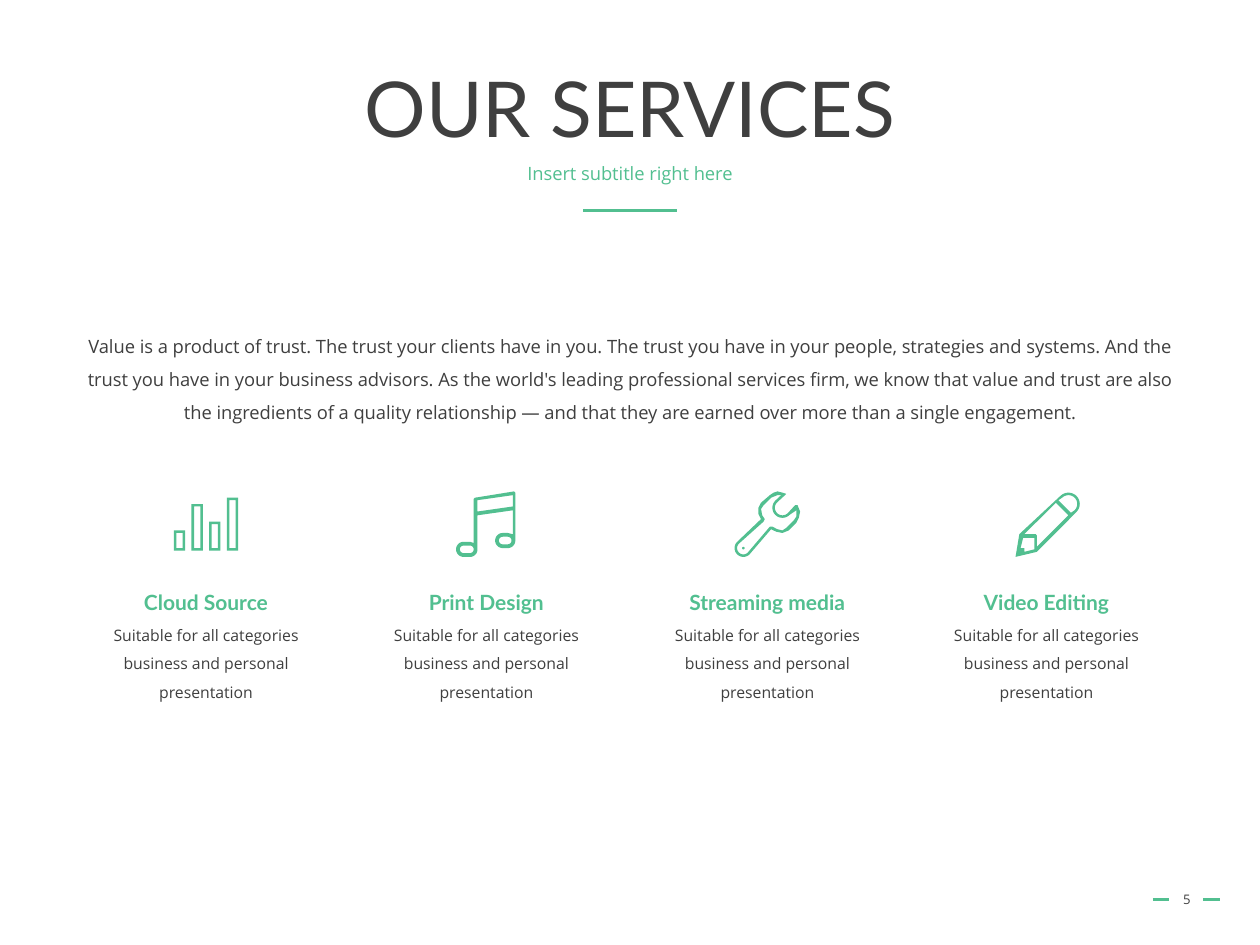
from math import cos, radians, sin

from lxml.etree import SubElement
from pptx import Presentation
from pptx.dml.color import RGBColor
from pptx.enum.shapes import MSO_CONNECTOR
from pptx.enum.text import MSO_ANCHOR, MSO_AUTO_SIZE, PP_ALIGN
from pptx.oxml.ns import qn
from pptx.util import Cm, Pt


# Outline helpers for the icons (lengths in inches)
def arc(x, y, radius, start, end, steps=16):
    """Points on a circle; angles run clockwise from the right."""
    angles = [radians(start + (end - start) * i / steps) for i in range(steps + 1)]
    return [(x + radius * cos(a), y + radius * sin(a)) for a in angles]


def rectangle(left, top, right, bottom):
    return [(left, top), (right, top), (right, bottom), (left, bottom)]


def pill(left, right, y, radius):
    return arc(left, y, radius, 90, 270) + arc(right, y, radius, 270, 450)


def bars(left, tops, bottom, width, pitch, wall):
    contours = []
    for i, top in enumerate(tops):
        x = left + i * pitch
        contours.append(rectangle(x, top, x + width, bottom))
        contours.append(rectangle(x + wall, top + wall, x + width - wall, bottom - wall))
    return contours


# Content
TITLE = "OUR SERVICES"
SUBTITLE = "Insert subtitle right here"
INTRO = (
    "Value is a product of trust. The trust your clients have in you. "
    "The trust you have in your people, strategies and systems. "
    "And the trust you have in your business advisors. "
    "As the world's leading professional services firm, we know that value and trust "
    "are also the ingredients of a quality relationship — and that they are earned "
    "over more than a single engagement."
)
DETAIL = "Suitable for all categories business and personal presentation"
SERVICES = [  # name, column centre
    ("Cloud Source", 1.635),
    ("Print Design", 3.86),
    ("Streaming media", 6.09),
    ("Video Editing", 8.305),
]
PAGE_NUMBER = "5"
RULES = [(4.63, 5.37, 1.67), (9.15, 9.28, 7.14), (9.55, 9.68, 7.14)]

# Icons: each an outer contour followed by its holes
BAR_CHART = bars(1.38, [4.21, 4.0, 4.14, 3.95], 4.37, 0.09, 0.14, 0.02)
MUSIC_NOTE = [
    [(3.77, 3.95), (4.08, 3.9), (4.09, 3.91),
     *arc(4.03, 4.29, 0.06, 0, 90), *arc(3.99, 4.29, 0.06, 90, 270),
     (4.03, 4.23), (4.07, 4.24), (4.07, 4.05), (3.79, 4.09),
     *arc(3.73, 4.36, 0.06, 0, 90), *arc(3.68, 4.36, 0.06, 90, 270),
     (3.73, 4.3), (3.76, 4.31), (3.76, 3.96)],
    pill(3.68, 3.73, 4.36, 0.03),
    pill(3.99, 4.03, 4.29, 0.03),
    [(4.07, 4.02), (3.79, 4.06), (3.79, 3.97), (4.07, 3.93)],
]
WRENCH = [
    [(6.33, 4.01), (6.31, 4.01), *arc(6.21, 4.03, 0.06, 45, 225),
     (6.23, 3.93), (6.24, 3.92), (6.21, 3.91), (6.17, 3.9), (6.14, 3.91), (6.11, 3.93),
     (6.04, 3.99), (6.02, 4.03), (6.02, 4.08), (6.04, 4.12),
     *arc(5.9, 4.35, 0.07, 225, 45), (6.12, 4.2), (6.16, 4.22), (6.21, 4.23),
     (6.26, 4.21), (6.32, 4.15), (6.34, 4.11), (6.35, 4.06)],
    [(6.32, 4.05), *arc(6.21, 4.03, 0.08, 45, 225),
     (6.2, 3.93), (6.17, 3.93), (6.12, 3.95), (6.06, 4.01), (6.04, 4.04), (6.05, 4.09),
     (6.07, 4.12), (6.06, 4.14), *arc(5.9, 4.35, 0.05, 225, 45),
     (6.11, 4.18), (6.13, 4.18), (6.17, 4.2), (6.21, 4.21), (6.24, 4.19),
     (6.3, 4.13), (6.32, 4.1)],
    arc(5.9, 4.35, 0.01, 0, 360),
]
PENCIL = [
    [(8.06, 4.42), (8.09, 4.24), *arc(8.48, 4.0, 0.09, 225, 405), (8.23, 4.38)],
    [(8.21, 4.36), (8.13, 4.38), (8.13, 4.35), (8.1, 4.35), (8.12, 4.27), (8.21, 4.27)],
    [(8.23, 4.34), (8.23, 4.25), (8.22, 4.24), (8.13, 4.24), (8.38, 3.99), (8.48, 4.09)],
    [(8.5, 4.07), (8.4, 3.97), *arc(8.48, 4.0, 0.07, 225, 405)],
]
ICONS = [BAR_CHART, MUSIC_NOTE, WRENCH, PENCIL]

# Theme
GREEN, DARK = RGBColor(0x52, 0xBF, 0x90), RGBColor(0x3F, 0x3F, 0x3F)
THEME = {
    "title": {"name": "Lato", "size": Pt(44), "bold": False, "color": DARK},
    "subtitle": {"name": "Open Sans", "size": Pt(10.5), "color": GREEN},
    "intro": {"name": "Open Sans", "size": Pt(10.5), "color": DARK},
    "service": {"name": "Lato", "size": Pt(12), "bold": True, "color": GREEN},
    "detail": {"name": "Open Sans", "size": Pt(9), "color": DARK},
    "number": {"name": "Open Sans", "size": Pt(7.5), "color": DARK},
    "rule": {"color": GREEN, "width": Pt(1.75)},
}


def length(inches):
    return Cm(2.54 * inches)


def write(box, text, style, spacing=1.0, anchor=MSO_ANCHOR.TOP):
    frame = box.text_frame
    settings = {"word_wrap": True, "auto_size": MSO_AUTO_SIZE.NONE, "vertical_anchor": anchor}
    for name, value in settings.items():
        setattr(frame, name, value)
    para = frame.paragraphs[0]
    para.alignment, para.line_spacing = PP_ALIGN.CENTER, spacing
    span = para.add_run()
    span.text = text
    for name, value in THEME[style].items():
        if name == "color":
            span.font.color.rgb = value
        else:
            setattr(span.font, name, value)


def add_text(page, place, *content, **options):
    write(page.shapes.add_textbox(*map(length, place)), *content, **options)


def add_icon(page, contours):
    outlines = [[(length(x), length(y)) for x, y in contour] for contour in contours]
    builder = page.shapes.build_freeform(*outlines[0][0], scale=1.0)
    for i, outline in enumerate(outlines):
        if i:
            builder.move_to(*outline[0])
        builder.add_line_segments(outline[1:], close=True)
    icon = builder.convert_to_shape()
    icon.shadow.inherit = False
    icon.fill.solid()
    icon.fill.fore_color.rgb = GREEN
    icon.line.fill.background()


def add_rule(page, left, right, y):
    rule = page.shapes.add_connector(
        MSO_CONNECTOR.STRAIGHT, length(left), length(y), length(right), length(y))
    rule.line.color.rgb = THEME["rule"]["color"]
    rule.line.width = THEME["rule"]["width"]
    SubElement(rule._element.spPr, qn("a:effectLst"))


def main():
    deck = Presentation()
    deck.slide_width, deck.slide_height = length(10), length(7.5)
    page = deck.slides.add_slide(deck.slide_layouts[5])

    # Heading
    title = page.shapes.title
    for name, value in zip(("left", "top", "width", "height"), (0.69, 0.4, 8.62, 0.98)):
        setattr(title, name, length(value))
    write(title, TITLE, "title", spacing=0.9, anchor=MSO_ANCHOR.MIDDLE)
    add_text(page, (0.69, 1.26, 8.62, 0.4), SUBTITLE, "subtitle", spacing=0.9)
    for rule in RULES:
        add_rule(page, *rule)

    # Introduction
    add_text(page, (0.53, 2.52, 8.95, 1.04), INTRO, "intro", spacing=1.5)

    # Four service columns
    width = 2.05
    for (service, centre), icon in zip(SERVICES, ICONS):
        left = centre - width / 2
        add_icon(page, icon)
        add_text(page, (left, 4.63, width, 0.3), service, "service")
        add_text(page, (left, 4.84, width, 0.78), DETAIL, "detail", spacing=1.5)

    # Page number
    add_text(page, (9.2, 6.94, 0.44, 0.4), PAGE_NUMBER, "number", anchor=MSO_ANCHOR.MIDDLE)
    deck.save("out.pptx")


if __name__ == "__main__":
    main()
